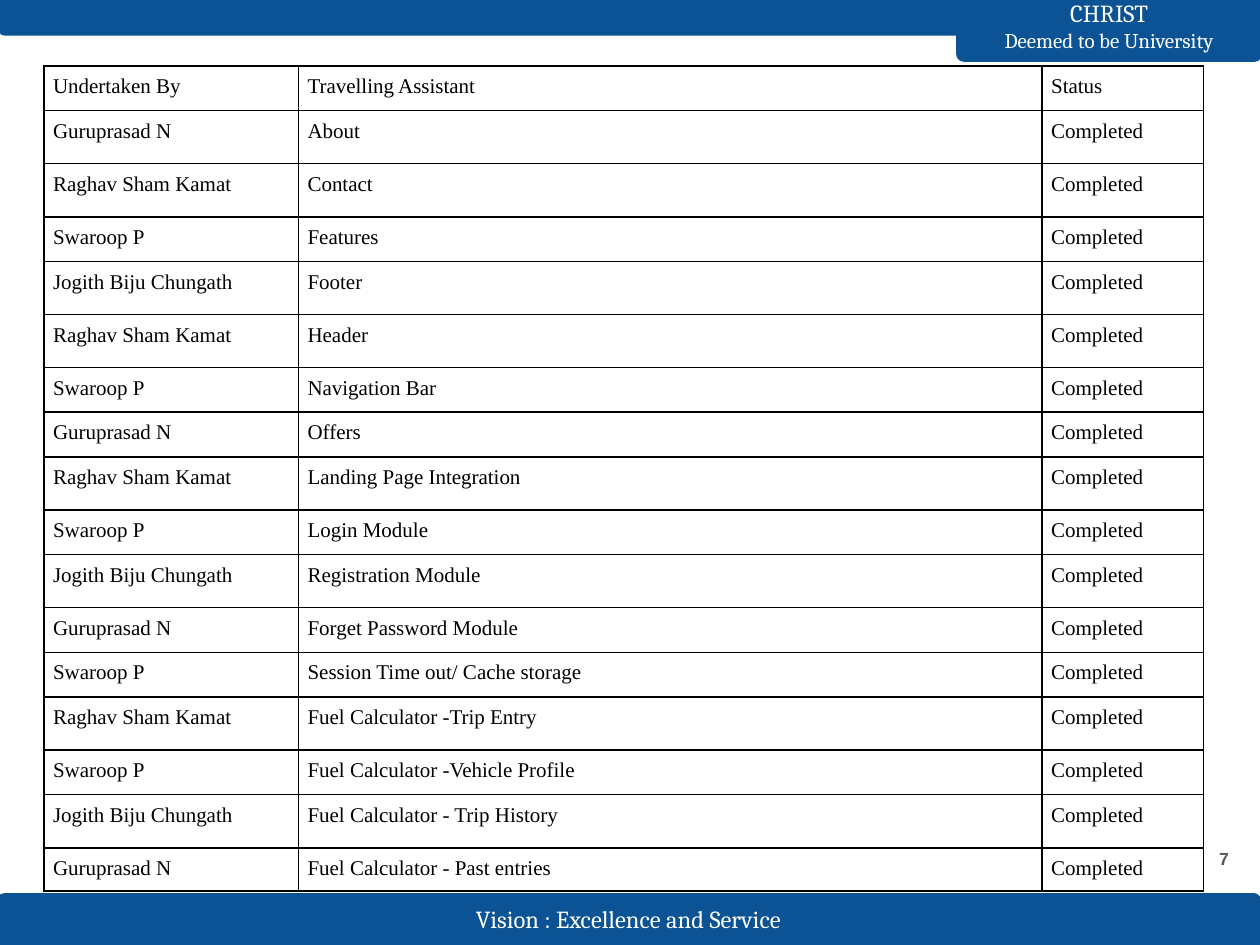
"""Build the task status slide of the Travelling Assistant project."""
import pptx
import pptx.dml.color
import pptx.enum.shapes
import pptx.enum.text
import pptx.util
from lxml import etree
from pptx.oxml.ns import qn

Cm, Pt = pptx.util.Cm, pptx.util.Pt
RGBColor = pptx.dml.color.RGBColor
ALIGN = pptx.enum.text.PP_ALIGN
ANCHOR = pptx.enum.text.MSO_ANCHOR

BLUE = RGBColor(0x0B, 0x53, 0x94)
WHITE = RGBColor(0xFF, 0xFF, 0xFF)
BLACK = RGBColor(0, 0, 0)
GREY = RGBColor(0x59, 0x59, 0x59)

SHORT, TALL, LAST = 0.9, 1.07, 0.81
HEADER = ("Undertaken By", "Travelling Assistant", "Status")
TASKS = [
    ("Guruprasad N", "About", TALL),
    ("Raghav Sham Kamat", "Contact", TALL),
    ("Swaroop P", "Features", SHORT),
    ("Jogith Biju Chungath", "Footer", TALL),
    ("Raghav Sham Kamat", "Header", TALL),
    ("Swaroop P", "Navigation Bar", SHORT),
    ("Guruprasad N", "Offers", SHORT),
    ("Raghav Sham Kamat", "Landing Page Integration", TALL),
    ("Swaroop P", "Login Module", SHORT),
    ("Jogith Biju Chungath", "Registration Module", TALL),
    ("Guruprasad N", "Forget Password Module", SHORT),
    ("Swaroop P", "Session Time out/ Cache storage", SHORT),
    ("Raghav Sham Kamat", "Fuel Calculator -Trip Entry", TALL),
    ("Swaroop P", "Fuel Calculator -Vehicle Profile", SHORT),
    ("Jogith Biju Chungath", "Fuel Calculator - Trip History", TALL),
    ("Guruprasad N", "Fuel Calculator - Past entries", LAST),
]
STATUS = "Completed"
COL_WIDTHS = (5.13, 14.99, 3.25)

FOOTER_BAR = (-0.03, 18.03, 25.43, 1.02)
BADGE = (19.3, 0.15, 6.12, 1.07)
TOP_BAR = (0, 0, 25.43, 0.69)
FOOTER_TEXT = (8.43, 18.31, 8.48, 0.43)
BADGE_TEXT = (19.3, 0.2, 6.12, 0.64)
PAGE_NUMBER = (23.5, 16.59, 1.52, 1.45)


def add_text(p, text, size=12, font="Times New Roman", color=BLACK, bold=False, align=None):
    r = p.add_run()
    r.text = text
    r.font.size, r.font.name, r.font.bold = Pt(size), font, bold
    r.font.color.rgb = color
    if align is not None:
        p.alignment = align


def add_bar(slide, box, rotation=0):
    shape = pptx.enum.shapes.MSO_SHAPE.ROUND_2_SAME_RECTANGLE
    sp = slide.shapes.add_shape(shape, *map(Cm, box))
    sp.adjustments[0], sp.adjustments[1] = 0.125, 0
    sp.rotation = rotation
    sp.shadow.inherit = False
    sp.fill.solid()
    sp.fill.fore_color.rgb = BLUE
    sp.line.color.rgb = BLUE
    sp.line.width = Pt(1.5)


def add_box(slide, box):
    tf = slide.shapes.add_textbox(*map(Cm, box)).text_frame
    tf.word_wrap = True
    tf.vertical_anchor = ANCHOR.MIDDLE
    tf.margin_left = tf.margin_right = tf.margin_top = tf.margin_bottom = Cm(0.25)
    return tf.paragraphs[0]


def add_borders(cell):
    tc_pr = cell._tc.get_or_add_tcPr()
    for side in ("a:lnL", "a:lnR", "a:lnT", "a:lnB"):
        ln = etree.SubElement(tc_pr, qn(side), w=str(Pt(1)))
        fill = etree.SubElement(ln, qn("a:solidFill"))
        etree.SubElement(fill, qn("a:srgbClr"), val=str(BLACK))


def add_task_table(slide):
    rows = [HEADER] + [(person, task, STATUS) for person, task, _ in TASKS]
    heights = [SHORT] + [height for _, _, height in TASKS]
    frame = slide.shapes.add_table(len(rows), len(COL_WIDTHS), Cm(0.89), Cm(1.33),
                                   Cm(sum(COL_WIDTHS)), Cm(sum(heights)))
    table = frame.table
    table.first_row = table.horz_banding = False
    for column, width in zip(table.columns, COL_WIDTHS):
        column.width = Cm(width)
    for row, height, texts in zip(table.rows, heights, rows):
        row.height = Cm(height)
        for cell, text in zip(row.cells, texts):
            cell.margin_left = cell.margin_right = Cm(0.18)
            cell.margin_top = cell.margin_bottom = Cm(0.18)
            add_borders(cell)
            cell.fill.background()
            add_text(cell.text_frame.paragraphs[0], text)


def main():
    prs = pptx.Presentation()
    prs.slide_width, prs.slide_height = Cm(25.4), Cm(19.05)
    slide = prs.slides.add_slide(prs.slide_layouts[6])

    banner = dict(font="Cambria", color=WHITE, align=ALIGN.CENTER)
    add_bar(slide, FOOTER_BAR)
    add_text(add_box(slide, FOOTER_TEXT), "Vision : Excellence and Service", size=14, **banner)
    add_bar(slide, BADGE, rotation=180)
    add_bar(slide, TOP_BAR, rotation=180)
    p = add_box(slide, BADGE_TEXT)
    add_text(p, "CHRIST", size=14, **banner)
    p.add_line_break()
    add_text(p, "Deemed to be University", size=12, **banner)

    add_task_table(slide)
    add_text(add_box(slide, PAGE_NUMBER), "7", size=10, font="Arial", color=GREY,
             bold=True, align=ALIGN.RIGHT)
    prs.save("out.pptx")


if __name__ == "__main__":
    main()
